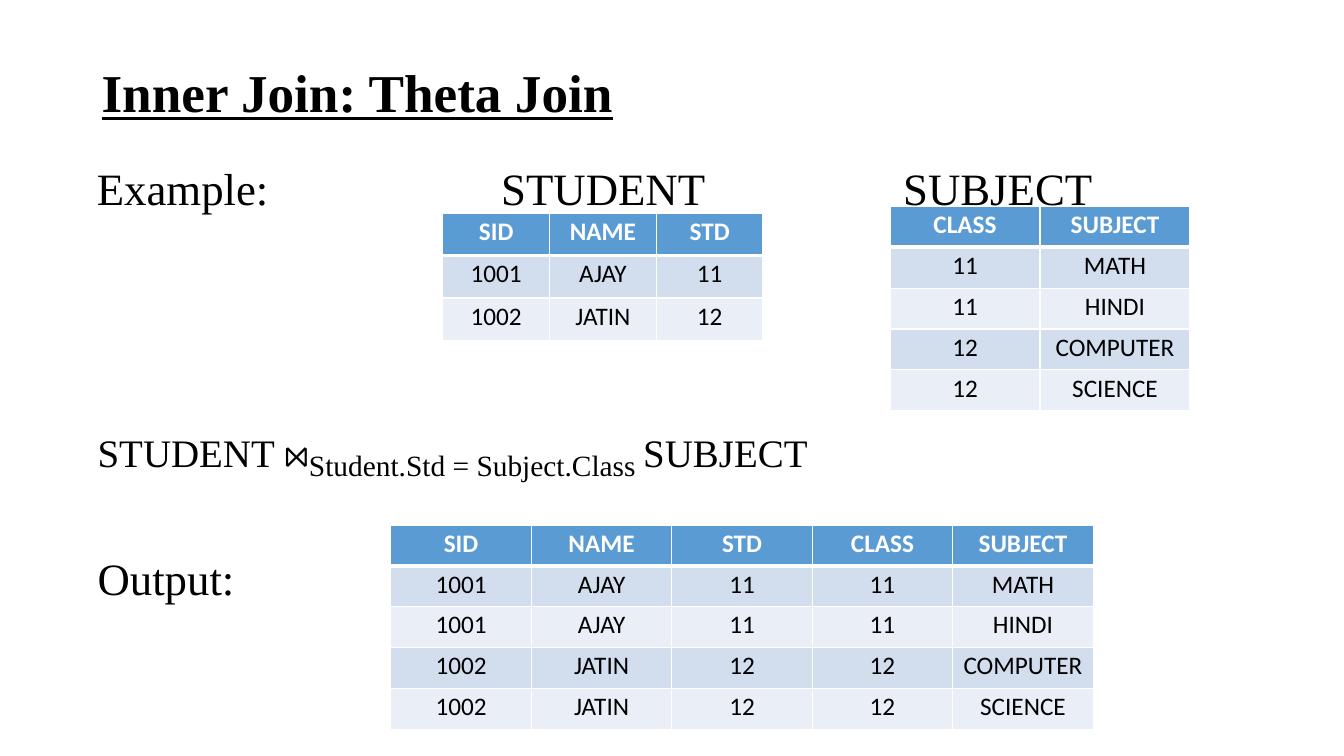
from pptx import Presentation
from pptx.dml.color import RGBColor
from pptx.enum.text import PP_ALIGN
from pptx.oxml.ns import qn
from pptx.util import Cm, Pt
from lxml.etree import SubElement

COLORS = {
    "text": "000000",
    "header_text": "FFFFFF",
    "border": "FFFFFF",
    "header": "5B9BD4",
    "odd_row": "D2DEEE",
    "even_row": "EAEEF7",
}


def add_text(left, top, width, height, inset_left, inset_top, runs, tab=None):
    box = page.shapes.add_textbox(Cm(left), Cm(top), Cm(width), Cm(height))
    frame = box.text_frame
    frame.word_wrap = True
    frame.margin_left, frame.margin_top = Cm(inset_left), Cm(inset_top)
    frame.margin_right = frame.margin_bottom = 0
    para = frame.paragraphs[0]
    if tab:
        tabs = SubElement(para._p.get_or_add_pPr(), qn("a:tabLst"))
        SubElement(tabs, qn("a:tab"), pos=str(Cm(tab)), algn="l")
    para.font.name = "Times New Roman"
    para.font.color.rgb = RGBColor.from_string(COLORS["text"])
    for text, size, raised in runs:
        span = para.add_run()
        span.text = text
        span.font.size = Pt(size)
        if raised:
            span.font._element.set("baseline", str(raised * 1000))
    return para


def add_border(cell, side, width):
    line = SubElement(cell._tc.get_or_add_tcPr(), qn(f"a:ln{side}"), w=str(Pt(width)))
    fill = SubElement(line, qn("a:solidFill"))
    SubElement(fill, qn("a:srgbClr"), val=COLORS["border"])


deck = Presentation()
deck.slide_width, deck.slide_height = Cm(33.87), Cm(19.05)
page = deck.slides.add_slide(deck.slide_layouts[6])

title = add_text(2.41, 0.08, 29.03, 2.97, 0.15, 1.42, [("Inner Join: Theta Join", 38, 0)])
title.font.bold = True
title.font.underline = True

add_text(2.41, 3.96, 15.39, 1.42, 0.03, 0.08, [("Example:\tSTUDENT", 32, 0)], tab=10.19)
add_text(22.73, 3.96, 4.85, 1.42, 0.03, 0.08, [("SUBJECT", 32, 0)])
add_text(2.31, 10.19, 19.94, 2, 0.15, 0.13, [
    ("STUDENT ⋈", 48, 14),
    ("Student.Std = Subject.Class ", 21, 0),
    ("SUBJECT", 48, 14),
])
add_text(2.31, 13.79, 5, 1.42, 0.15, 0.08, [("Output:", 32, 0)])

students = [
    ("SID", "NAME", "STD"),
    ("1001", "AJAY", "11"),
    ("1002", "JATIN", "12"),
]
subjects = [
    ("CLASS", "SUBJECT"),
    ("11", "MATH"),
    ("11", "HINDI"),
    ("12", "COMPUTER"),
    ("12", "SCIENCE"),
]
joined = [students[0] + subjects[0]] + [
    student + subject
    for student in students[1:]
    for subject in subjects[1:]
    if student[2] == subject[0]
]

for rows, left, top, column_width, row_height in [
    (students, 11.16, 5.37, 2.69, 1.07),
    (subjects, 22.43, 5.2, 3.78, 1.03),
    (joined, 9.85, 13.23, 3.54, 1.03),
]:
    row_count, column_count = len(rows), len(rows[0])
    table = page.shapes.add_table(
        row_count, column_count, Cm(left), Cm(top),
        Cm(column_width * column_count), Cm(row_height * row_count),
    ).table
    for column in table.columns:
        column.width = Cm(column_width)
    for row_number, values in enumerate(rows):
        table.rows[row_number].height = Cm(row_height)
        is_header = row_number == 0
        shade = "header" if is_header else "odd_row" if row_number % 2 else "even_row"
        for column_number, value in enumerate(values):
            cell = table.cell(row_number, column_number)
            cell.margin_left = cell.margin_right = cell.margin_bottom = 0
            cell.margin_top = Cm(0.08)
            for side, width in [
                ("L", 1), ("R", 1),
                ("T", 3 if row_number == 1 else 1),
                ("B", 3 if is_header else 1),
            ]:
                add_border(cell, side, width)
            cell.fill.solid()
            cell.fill.fore_color.rgb = RGBColor.from_string(COLORS[shade])
            cell.text = value
            para = cell.text_frame.paragraphs[0]
            para.alignment = PP_ALIGN.CENTER
            para.font.name = "Calibri"
            para.font.size = Pt(18)
            para.font.bold = is_header
            para.font.color.rgb = RGBColor.from_string(
                COLORS["header_text" if is_header else "text"])

deck.save("out.pptx")
